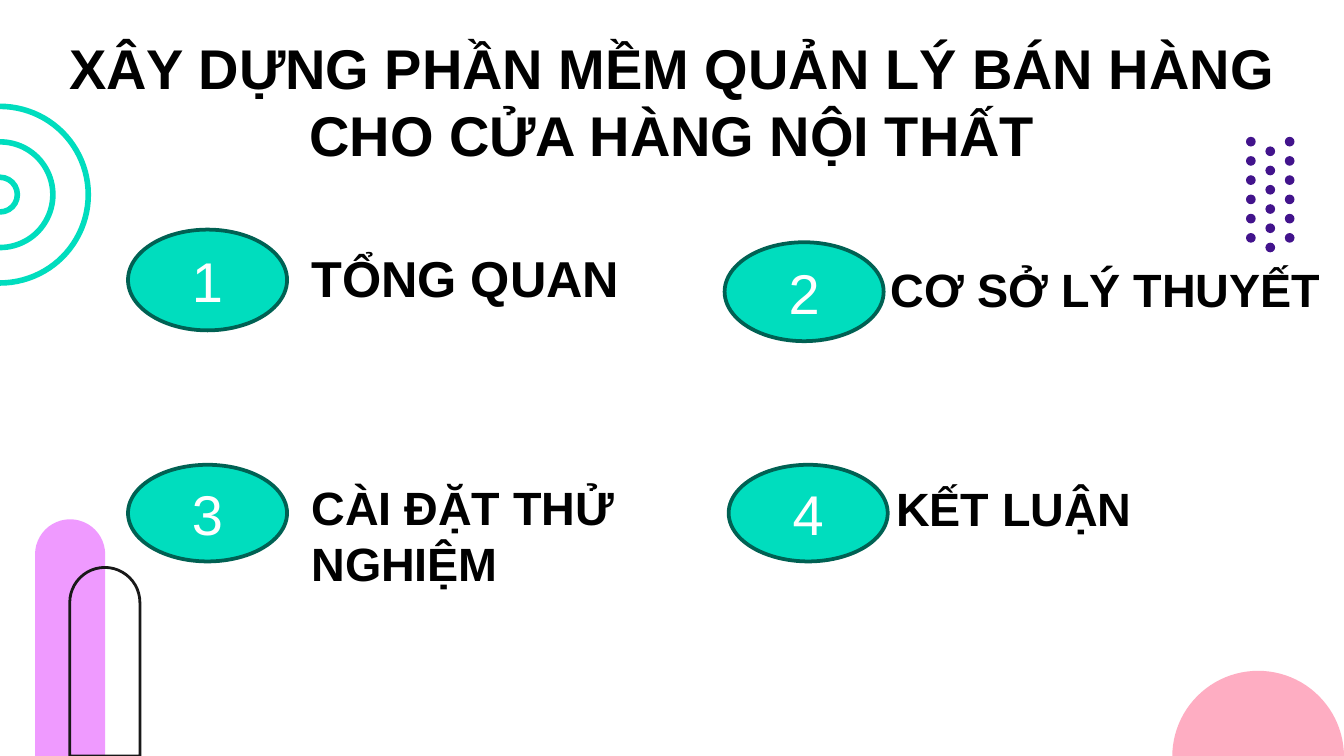
from dataclasses import dataclass
from typing import NamedTuple

from pptx import Presentation
from pptx.dml.color import RGBColor
from pptx.enum.shapes import MSO_SHAPE
from pptx.enum.text import MSO_ANCHOR, PP_ALIGN
from pptx.util import Pt

OVAL, ARCH, PIE = MSO_SHAPE.OVAL, MSO_SHAPE.ROUND_2_SAME_RECTANGLE, MSO_SHAPE.PIE
LEFT, CENTER = PP_ALIGN.LEFT, PP_ALIGN.CENTER
TOP, MIDDLE = MSO_ANCHOR.TOP, MSO_ANCHOR.MIDDLE
TITLE_ONLY = 5


@dataclass(frozen=True)
class Theme:
    font: str = "Arial"
    text: str = "000000"
    white: str = "FFFFFF"
    teal: str = "00DDBE"
    dark_teal: str = "006153"
    violet: str = "EF9AFF"
    purple: str = "42138C"
    pink: str = "FEADC2"
    outline: str = "191919"
    title_size: float = 30
    number_size: float = 30
    first_label_size: float = 27
    label_size: float = 25


THEME = Theme()


class Box(NamedTuple):
    left: float
    top: float
    width: float
    height: float

    def lengths(self):
        return [Pt(value) for value in self]


def add_figure(page, preset, box, fill=None, line=None, weight=1):
    shape = page.shapes.add_shape(preset, *box.lengths())
    shape.shadow.inherit = False
    if fill:
        shape.fill.solid()
        shape.fill.fore_color.rgb = RGBColor.from_string(fill)
    else:
        shape.fill.background()
    if line:
        shape.line.color.rgb = RGBColor.from_string(line)
        shape.line.width = Pt(weight)
    else:
        shape.line.fill.background()
    return shape


def write_text(shape, text, size, color=THEME.text, bold=True, align=LEFT,
               anchor=TOP, inset_x=7.2, inset_y=7.2):
    frame = shape.text_frame
    frame.word_wrap = True
    frame.vertical_anchor = anchor
    frame.margin_left = frame.margin_right = Pt(inset_x)
    frame.margin_top = frame.margin_bottom = Pt(inset_y)
    para = frame.paragraphs[0]
    para.alignment = align
    span = para.add_run()
    span.text = text
    span.font.name = THEME.font
    span.font.size = Pt(size)
    span.font.bold = bold
    span.font.color.rgb = RGBColor.from_string(color)


def add_title(page, box, text):
    title = page.shapes.title
    title.left, title.top, title.width, title.height = box.lengths()
    write_text(title, text, THEME.title_size, align=CENTER, inset_x=0, inset_y=0)


def add_rings(page, box):
    """Draw three concentric rings, the largest filling the box."""
    for step in range(3):
        inset = 19 * step
        ring = Box(box.left + inset, box.top + inset,
                   box.width - 2 * inset, box.height - 2 * inset)
        add_figure(page, OVAL, ring, line=THEME.teal, weight=3)


def add_dots(page, box, columns=3, rows=6, size=5.2):
    """Fill the box with dots, every second column half a step lower."""
    step_x = (box.width - size) / (columns - 1)
    step_y = (box.height - size) / (rows - 0.5)
    for row in range(rows):
        for column in range(columns):
            top = box.top + step_y * (row + column % 2 / 2)
            dot = Box(box.left + step_x * column, top, size, size)
            add_figure(page, OVAL, dot, fill=THEME.purple)


def add_arch(page, box, **style):
    arch = add_figure(page, ARCH, box, **style)
    arch.adjustments[0] = 0.5
    arch.adjustments[1] = 0


def add_half_disc(page, box):
    """Show the upper half of the disc that fills the box."""
    disc = add_figure(page, PIE, box, fill=THEME.pink)
    disc.adjustments[0] = 0
    disc.adjustments[1] = 108  # half a turn
    disc.rotation = 180


def add_topic(page, number, badge_box, label, label_box, size, **style):
    badge = add_figure(page, OVAL, badge_box, fill=THEME.teal,
                       line=THEME.dark_teal, weight=2)
    write_text(badge, number, THEME.number_size, color=THEME.white, bold=False,
               align=CENTER, anchor=MIDDLE, inset_y=3.6)
    write_text(page.shapes.add_textbox(*label_box.lengths()), label, size, **style)


def build_contents(page, box):
    right, bottom = box.left + box.width, box.top + box.height
    add_arch(page, Box(box.left + 18.8, bottom - 126.8, 37.6, 126.8), fill=THEME.violet)
    add_rings(page, Box(box.left - 47.3, box.top + 57, 94.6, 94.6))
    add_half_disc(page, Box(right - 92, bottom - 45.6, 92, 92))
    add_dots(page, Box(right - 52.5, box.top + 73.3, 26, 61.9))
    add_arch(page, Box(box.left + 37.4, bottom - 101, 37.6, 101),
             line=THEME.outline, weight=1.5)
    add_title(page, Box(box.left, box.top + 18, box.width, 72.7),
              "XÂY DỰNG PHẦN MỀM QUẢN LÝ BÁN HÀNG CHO CỬA HÀNG NỘI THẤT")

    topics = [
        ("1", Box(68.6, 123, 85.2, 54), "TỔNG QUAN",
         Box(159.8, 125.3, 242, 57.6), THEME.first_label_size, {}),
        ("2", Box(388.2, 129.8, 85.2, 53), "CƠ SỞ LÝ THUYẾT",
         Box(468.7, 136.1, 247, 37.4), THEME.label_size,
         {"align": CENTER, "inset_y": 3.6}),
        ("3", Box(68.6, 249, 85.2, 51.8), "CÀI ĐẶT THỬ NGHIỆM",
         Box(159.8, 249.1, 225, 57.6), THEME.label_size, {}),
        ("4", Box(390.4, 249, 85.2, 51.8), "KẾT LUẬN",
         Box(473, 249.8, 240, 55.4), THEME.label_size, {}),
    ]
    for number, badge_box, label, label_box, size, style in topics:
        add_topic(page, number, badge_box, label, label_box, size, **style)


def main():
    deck = Presentation()
    deck.slide_width, deck.slide_height = Pt(720), Pt(405)
    page = deck.slides.add_slide(deck.slide_layouts[TITLE_ONLY])
    build_contents(page, Box(0, 0, 720, 405))
    deck.save("out.pptx")


if __name__ == "__main__":
    main()
